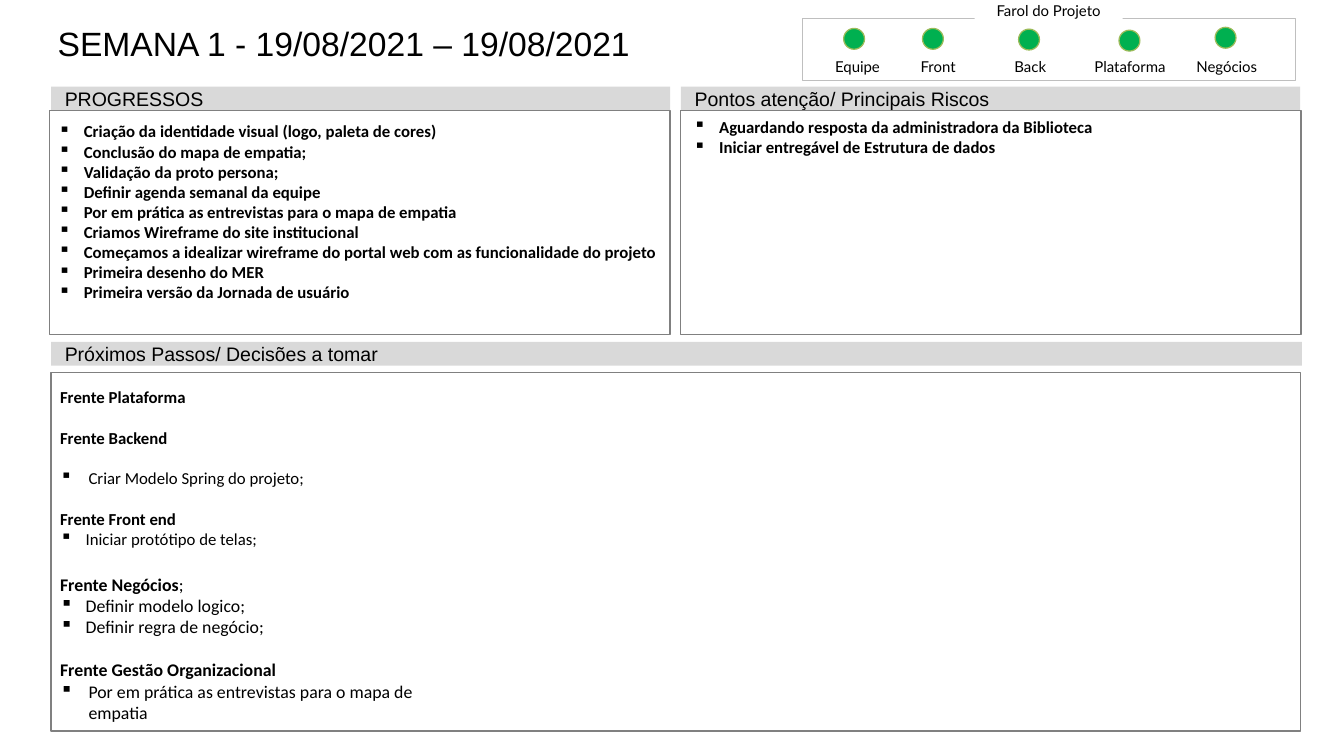
from lxml import etree
from pptx import Presentation
from pptx import util as u
from pptx.dml.color import RGBColor
from pptx.enum import shapes, text
from pptx.oxml.ns import qn

HUES = {"ink": "000000", "bar": "D9D9D9", "edge": "808080", "frame": "BFBFBF",
        "green": "00B050", "rim": "9BBB59", "white": "FFFFFF"}
RECT, OVAL = shapes.MSO_SHAPE.RECTANGLE, shapes.MSO_SHAPE.OVAL
MID, LOW = text.MSO_ANCHOR.MIDDLE, text.MSO_ANCHOR.BOTTOM
TOP = text.MSO_ANCHOR.TOP
LEFT, CENTER = text.PP_ALIGN.LEFT, text.PP_ALIGN.CENTER

deck = Presentation()
deck.slide_width, deck.slide_height = u.Cm(37.34), u.Cm(21.01)
slide = deck.slides.add_slide(deck.slide_layouts[5])


def draw(kind, place, fill=None, line=None, width=1):
    """Add a shape at a place in cm, or a text box when kind is None."""
    spot = [u.Cm(v) for v in place]
    if kind is None:
        return slide.shapes.add_textbox(*spot)
    shape = slide.shapes.add_shape(kind, *spot)
    shape.shadow.inherit = False
    if fill:
        shape.fill.solid()
        shape.fill.fore_color.rgb = RGBColor.from_string(HUES[fill])
    else:
        shape.fill.background()
    if line:
        shape.line.color.rgb = RGBColor.from_string(HUES[line])
        shape.line.width = u.Pt(width)
    else:
        shape.line.fill.background()
    return shape


def write(shape, rows, font, pads, anchor=TOP, align=LEFT, wrap=True):
    """Fill a shape with rows of (words, size, bold, indent in cm, gap in pt)."""
    frame = shape.text_frame
    frame.word_wrap, frame.vertical_anchor = wrap, anchor
    (frame.margin_left, frame.margin_top,
     frame.margin_right, frame.margin_bottom) = [u.Cm(v) for v in pads]
    for i, (words, size, bold, dent, gap) in enumerate(rows):
        para = frame.paragraphs[0] if i == 0 else frame.add_paragraph()
        para.text, para.alignment = words, align
        para.space_before = u.Pt(gap)
        para.font.name, para.font.size, para.font.bold = font, u.Pt(size), bold
        para.font.color.rgb = RGBColor.from_string(HUES["ink"])
        if dent:
            props = para._p.get_or_add_pPr()
            props.set("marL", str(u.Cm(dent)))
            props.set("indent", str(-u.Cm(dent)))
            etree.SubElement(props, qn("a:buChar")).set("char", "▪")
    return frame


# Title
title = slide.shapes.title
title.left, title.top, title.width, title.height = [
    u.Cm(v) for v in (1.3, 0.51, 33.6, 2.24)]
write(title, [("SEMANA 1 - 19/08/2021 – 19/08/2021", 26.5, False, 0, 0)],
      "Arial", (0.3, 0.12, 0.3, 0))

# Project status lights
tight = (0.15, 0.15, 0.15, 0)
draw(RECT, (22.28, 0.51, 13.72, 1.73), line="frame", width=0.5)
farol = draw(RECT, (27.08, -0.05, 4.11, 0.58), fill="white")
write(farol, [("Farol do Projeto", 11.8, False, 0, 0)],
      "Lato", tight, LOW, CENTER, False)
lights = [("Equipe", 22.58, 23.44, 0.79), ("Front", 24.82, 25.63, 0.79),
          ("Back", 27.38, 28.3, 0.81), ("Plataforma", 30.15, 31.09, 0.84),
          ("Negócios", 32.84, 33.76, 0.76)]
for name, left, dot, top in lights:
    draw(OVAL, (dot, top, 0.58, 0.58), "green", "rim")
    write(draw(None, (left, 1.6, 2.49, 0.51)), [(name, 11.8, False, 0, 0)],
          "Lato", tight, LOW, CENTER, False)

# Section bars
bars = [("PROGRESSOS", 1.42, 2.41, 17.2),
        ("Pontos atenção/ Principais Riscos", 18.92, 2.41, 17.2),
        ("Próximos Passos/ Decisões a tomar", 1.42, 9.5, 34.75)]
for name, left, top, wide in bars:
    write(draw(RECT, (left, top, wide, 0.66), "bar"),
          [(name, 15.4, False, 0, 0)], "Arial", (0.38, 0.18, 0.38, 0.18), MID)

# Progress and risks
done = ["Criação da identidade visual (logo, paleta de cores)",
        "Conclusão do mapa de empatia;",
        "Validação da proto persona;",
        "Definir agenda semanal da equipe",
        "Por em prática as entrevistas para o mapa de empatia",
        "Criamos Wireframe do site institucional",
        "Começamos a idealizar wireframe do portal web com as "
        "funcionalidade do projeto",
        "Primeira desenho do MER",
        "Primeira versão da Jornada de usuário"]
risks = ["Aguardando resposta da administradora da Biblioteca",
         "Iniciar entregável de Estrutura de dados"]
pads = (0.25, 0.3, 0.25, 0.13)
left_box = draw(RECT, (1.37, 3.07, 17.25, 6.22), line="edge")
write(left_box, [(t, 13.2, True, 0.71, 0) for t in done], "Calibri", pads)
draw(RECT, (18.9, 3.07, 17.25, 6.22), line="edge")
write(draw(None, (19.02, 3.12, 17.12, 1.96)),
      [(t, 13.2, True, 0.71, 0) for t in risks],
      "Calibri", (0.25, 0.13, 0.25, 0.13))

# Next steps, set in three columns
steps = [("Frente Plataforma", 13.2, True, 0, 0),
         ("Frente Backend", 13.2, True, 0, 16),
         ("Criar Modelo Spring do projeto;", 13.2, False, 0.79, 16),
         ("Frente Front end", 13.2, True, 0, 16),
         ("Iniciar protótipo de telas;", 13.2, False, 0.71, 0),
         ("Frente Negócios", 14, True, 0, 19.5),
         ("Definir modelo logico;", 14, False, 0.71, 0),
         ("Definir regra de negócio;", 14, False, 0.71, 0),
         ("Frente Gestão Organizacional", 14, True, 0, 17),
         ("Por em prática as entrevistas para o mapa de empatia",
          14, False, 0.79, 0)]
plan = write(draw(RECT, (1.42, 10.36, 34.72, 9.96), line="edge"),
             steps, "Calibri", pads, MID)
plan._txBody.bodyPr.set("numCol", "3")
mark = plan.paragraphs[5].add_run()
mark.text, mark.font.bold = ";", False

# Paragraph fonts reach the text through its runs
for shape in slide.shapes:
    for para in shape.text_frame.paragraphs:
        for run in para.runs:
            font = run.font
            font.name, font.size = para.font.name, para.font.size
            font.color.rgb = para.font.color.rgb
            if font.bold is None:
                font.bold = para.font.bold

deck.save("out.pptx")
